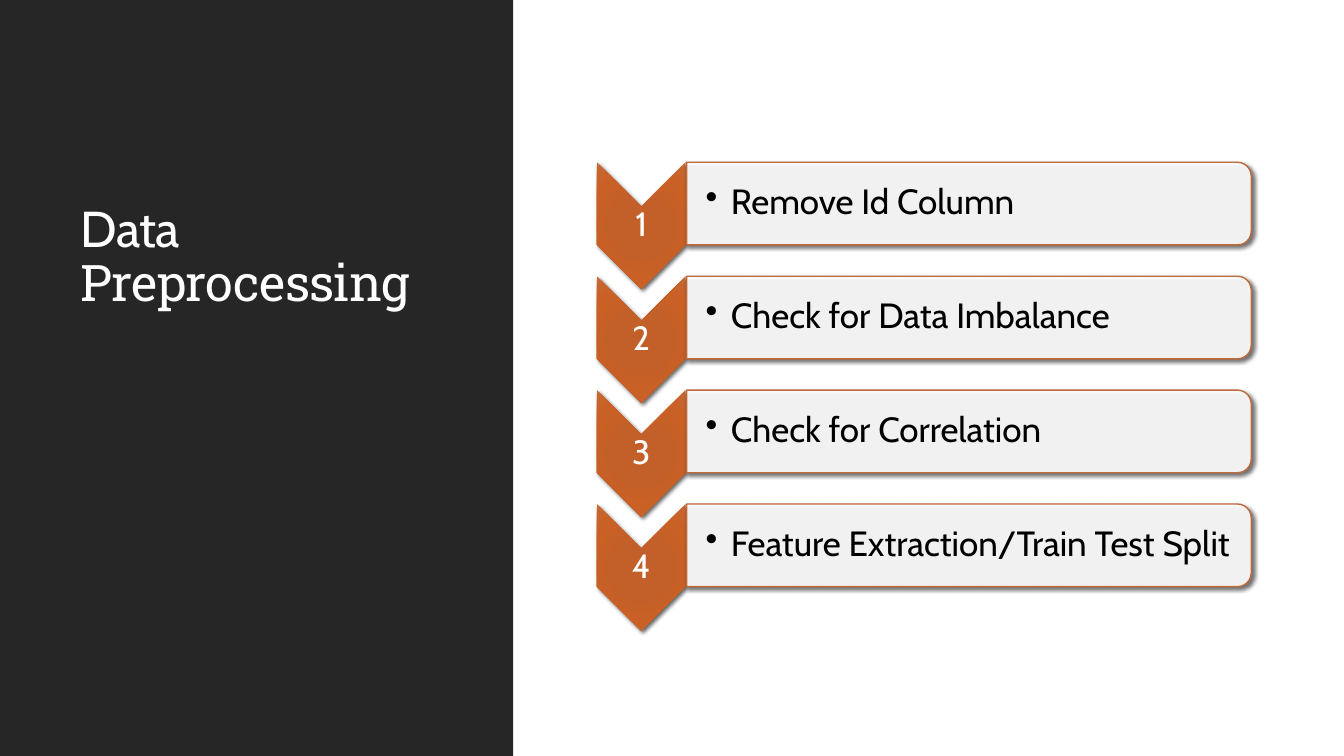
import pptx
import pptx.util
import pptx.dml.color
import pptx.enum.shapes
import pptx.enum.text
import pptx.oxml
import pptx.oxml.ns

Inches = pptx.util.Inches
Pt = pptx.util.Pt
RGBColor = pptx.dml.color.RGBColor
SHAPE = pptx.enum.shapes.MSO_SHAPE
ANCHOR = pptx.enum.text.MSO_ANCHOR
ALIGN = pptx.enum.text.PP_ALIGN

DARK = RGBColor(0x26, 0x26, 0x26)
WHITE = RGBColor(0xFF, 0xFF, 0xFF)
BLACK = RGBColor(0x00, 0x00, 0x00)
RUST = RGBColor(0xBF, 0x6A, 0x3B)
GLOW = [
    (0, RGBColor(0xC4, 0x5D, 0x25)),
    (34, RGBColor(0xC3, 0x5F, 0x28)),
    (70, RGBColor(0xC9, 0x60, 0x25)),
    (100, RGBColor(0xC6, 0x68, 0x34)),
]
STEPS = [
    "Remove Id Column",
    "Check for Data Imbalance",
    "Check for Correlation",
    "Feature Extraction/Train Test Split",
]
TOP, PITCH = 1.61, 1.13
NS = pptx.oxml.ns.nsdecls("a")
SHADOW = (
    f'<a:effectLst {NS}><a:outerShdw blurRad="{Pt(3)}" dist="{Pt(2)}" dir="2700000"'
    ' algn="tl" rotWithShape="0"><a:srgbClr val="000000"><a:alpha val="60000"/>'
    "</a:srgbClr></a:outerShdw></a:effectLst>"
)
STOPS = "".join(
    f'<a:gs pos="{pos * 1000}"><a:srgbClr val="{color}"/></a:gs>' for pos, color in GLOW
)
GRADIENT = (
    f'<a:gradFill {NS} rotWithShape="1"><a:gsLst>{STOPS}</a:gsLst><a:path path="circle">'
    '<a:fillToRect l="100000" t="100000" r="100000" b="100000"/></a:path></a:gradFill>'
)


def add_turned(kind, left, top, width, height):
    """Add a shadowed shape turned a quarter; the box is as it looks once turned."""
    shift = (width - height) / 2
    shape = slide.shapes.add_shape(
        kind, Inches(left + shift), Inches(top - shift), Inches(height), Inches(width)
    )
    shape.rotation = 90
    shape.element.spPr.append(pptx.oxml.parse_xml(SHADOW))
    return shape


def add_label(text, left, top, width, height, size, color):
    box = slide.shapes.add_textbox(
        Inches(left), Inches(top), Inches(width), Inches(height)
    )
    frame = box.text_frame
    frame.word_wrap = True
    frame.vertical_anchor = ANCHOR.MIDDLE
    frame.margin_left = frame.margin_right = Inches(0.02)
    frame.margin_top = frame.margin_bottom = Inches(0.02)
    line = frame.paragraphs[0]
    line.text = text
    line.line_spacing = 0.9
    line.font.name = "Cabin"
    line.font.size = Pt(size)
    line.font.color.rgb = color
    return frame


deck = pptx.Presentation()
deck.slide_width = Inches(13.33)
deck.slide_height = Inches(7.5)
slide = deck.slides.add_slide(deck.slide_layouts[5])

title = slide.shapes.title
panel = slide.shapes.add_shape(SHAPE.RECTANGLE, 0, 0, Inches(5.09), deck.slide_height)
panel.shadow.inherit = False
panel.fill.solid()
panel.fill.fore_color.rgb = DARK
panel.line.fill.background()
title.element.addprevious(panel.element)

title.left, title.top = Inches(0.7), Inches(0.86)
title.width, title.height = Inches(3.85), Inches(2.29)
title.text_frame.word_wrap = True
title.text_frame.auto_size = pptx.enum.text.MSO_AUTO_SIZE.NONE
title.text_frame.vertical_anchor = ANCHOR.BOTTOM
head = title.text_frame.paragraphs[0]
head.alignment = ALIGN.LEFT
head.line_spacing = 0.9
head.font.size = Pt(36)
head.font.color.rgb = WHITE
for text, face in [("Data", "Cabin"), (" Preprocessing", "Roboto Slab")]:
    run = head.add_run()
    run.text = text
    run.font.name = face
    run.font._element.set("spc", "-50")

for index, step in enumerate(STEPS):
    top = TOP + index * PITCH

    arrow = add_turned(SHAPE.CHEVRON, 5.92, top, 0.88, 1.26)
    arrow.line.fill.background()
    arrow.element.spPr.prstGeom.addnext(pptx.oxml.parse_xml(GRADIENT))
    number = add_label(str(index + 1), 5.92, top + 0.44, 0.88, 0.38, 24, WHITE)
    number.paragraphs[0].alignment = ALIGN.CENTER

    card = add_turned(SHAPE.ROUND_2_SAME_RECTANGLE, 6.81, top, 5.6, 0.82)
    card.fill.solid()
    card.fill.fore_color.rgb = WHITE
    tint = card.element.spPr.find(".//" + pptx.oxml.ns.qn("a:srgbClr"))
    tint.append(pptx.oxml.parse_xml(f'<a:alpha {NS} val="90000"/>'))
    card.line.color.rgb = RUST
    card.line.width = Pt(1)

    label = add_label(step, 6.81, top + 0.04, 5.56, 0.74, 25, BLACK)
    label.margin_left = Inches(0.19)
    props = label.paragraphs[0]._p.get_or_add_pPr()
    props.set("marL", str(Inches(0.25)))
    props.set("indent", str(Inches(-0.25)))
    bullet = pptx.oxml.parse_xml(f'<a:buChar {NS} char="•"/>')
    props.find(pptx.oxml.ns.qn("a:lnSpc")).addnext(bullet)

deck.save("out.pptx")
